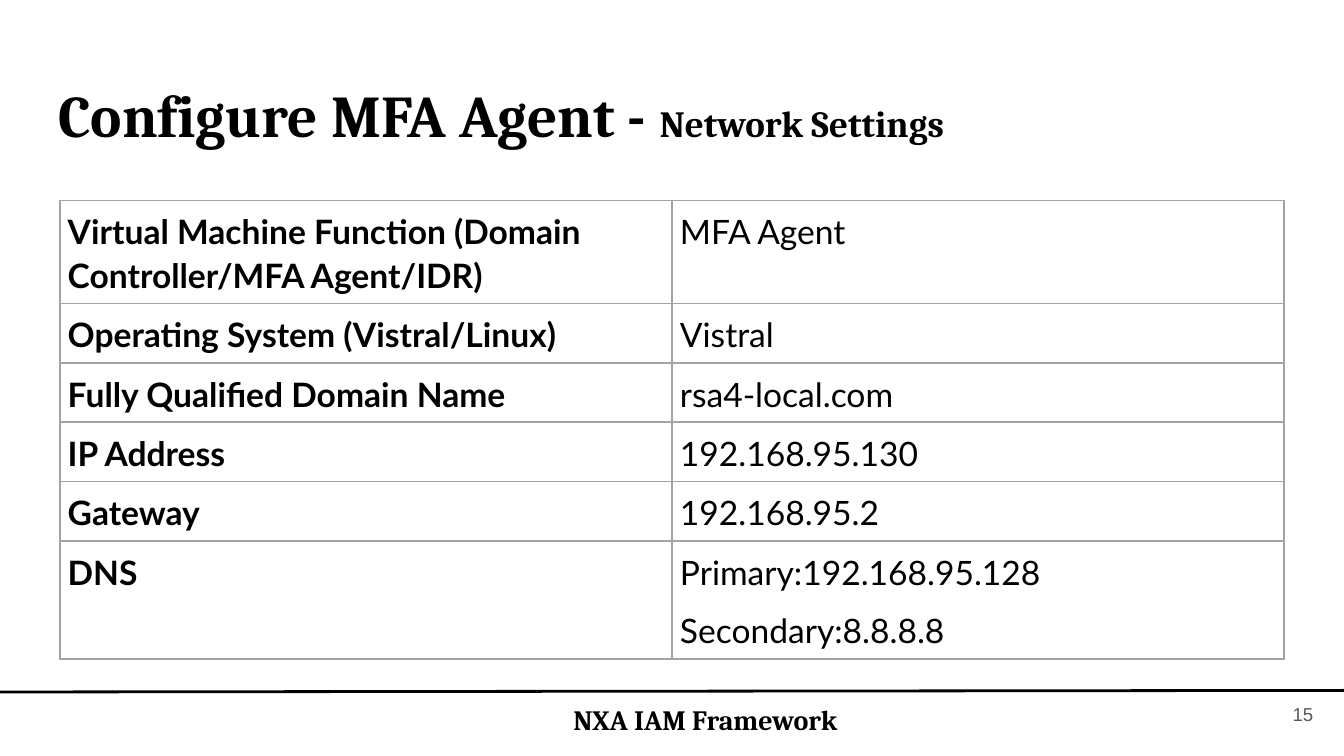
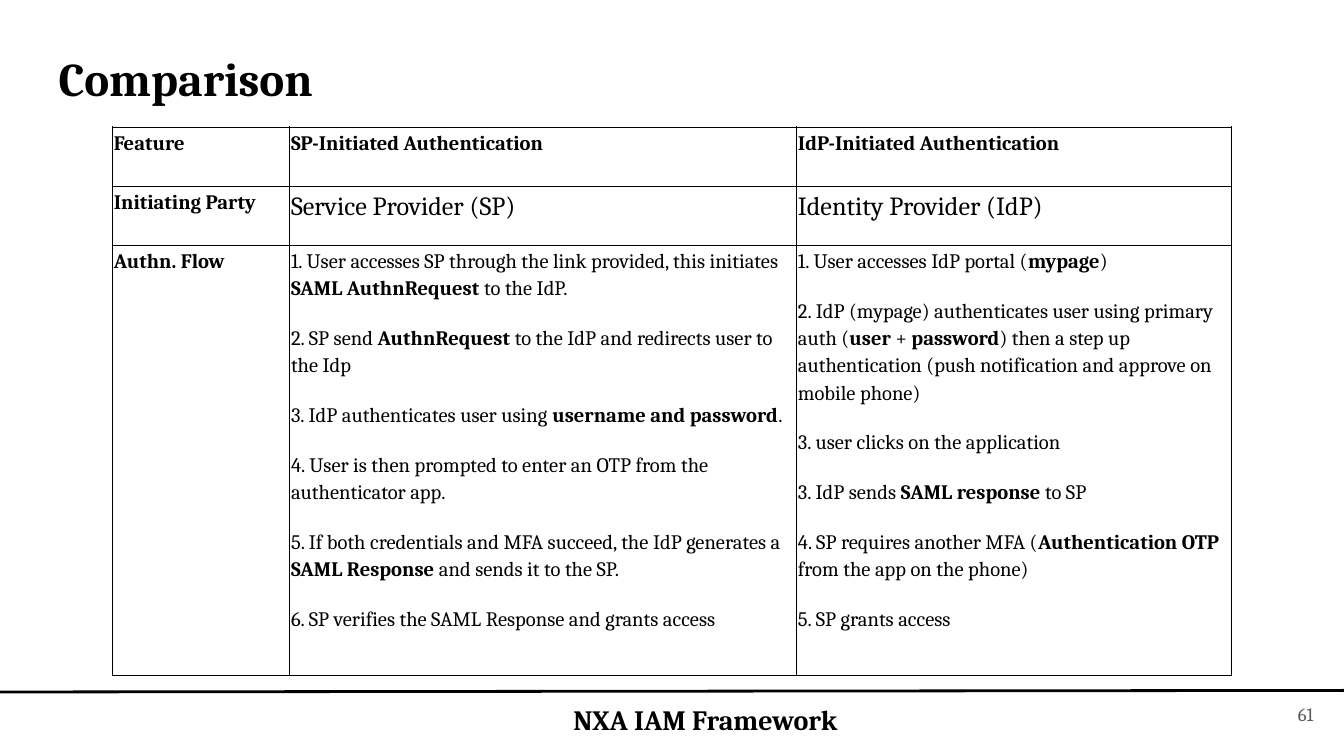
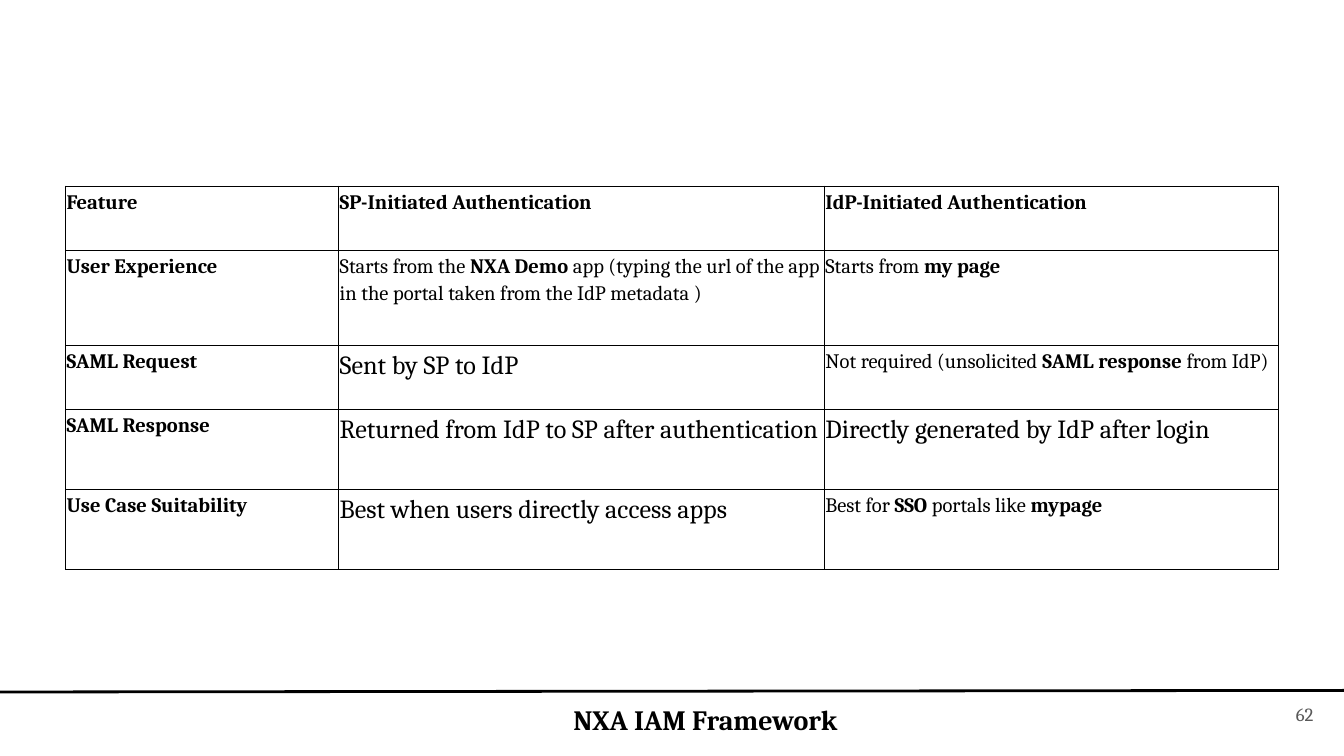
"""Build three slides on network settings and authentication flows."""
from dataclasses import dataclass

from lxml.etree import SubElement
from pptx import Presentation
from pptx.dml.color import RGBColor
from pptx.enum.shapes import MSO_CONNECTOR
from pptx.enum.text import MSO_ANCHOR, MSO_AUTO_SIZE, PP_ALIGN
from pptx.oxml.ns import qn
from pptx.util import Cm, Pt


@dataclass(frozen=True)
class Theme:
    serif: str = "Cambria"
    sans: str = "Lato"
    number_font: str = "Arial"
    ink: str = "000000"
    grey: str = "595959"
    grid: str = "A3A3A3"
    title: float = 31.7
    small_title: float = 25.2
    subtitle: float = 19.8
    settings: float = 18
    footer: float = 15
    plain: float = 14
    mixed: float = 11
    number: float = 10


T = Theme()


def write(p, text, size=T.mixed, font=T.serif, color=T.ink, bold=False):
    """Add runs to a paragraph; text between asterisks is bold."""
    for i, part in enumerate(text.split("*")):
        if part:
            r = p.add_run()
            r.text = part
            r.font.size = Pt(size)
            r.font.name = font
            r.font.bold = bold or i % 2 == 1
            r.font.color.rgb = RGBColor.from_string(color)


def add_grid(s, data, left, top, cols, rows, border, width, inset, spacing, gap,
             size=None, font=T.serif):
    """Add a bordered table; plain cells are larger unless a size is given."""
    table = s.shapes.add_table(len(rows), len(cols), Cm(left), Cm(top),
                               Cm(sum(cols)), Cm(sum(rows))).table
    table.first_row = table.horz_banding = False
    for col, w in zip(table.columns, cols):
        col.width = Cm(w)
    for row, h, texts in zip(table.rows, rows, data):
        row.height = Cm(h)
        for cell, text in zip(row.cells, texts):
            cell.margin_left = cell.margin_right = Cm(inset)
            cell.margin_top = cell.margin_bottom = Cm(inset)
            tf = cell.text_frame
            for i, line in enumerate(text.split("\n")):
                p = tf.add_paragraph() if i else tf.paragraphs[0]
                p.line_spacing = spacing
                if i:
                    p.space_before = Pt(gap)
                write(p, line, size or (T.mixed if "*" in text else T.plain), font)
            p.space_after = Pt(gap)
            tcPr = cell._tc.get_or_add_tcPr()
            for side in ("a:lnL", "a:lnR", "a:lnT", "a:lnB"):
                ln = SubElement(tcPr, qn(side), w=str(Pt(width)))
                fill = SubElement(ln, qn("a:solidFill"))
                SubElement(fill, qn("a:srgbClr"), val=border)
            cell.fill.background()


SETTINGS = [
    ("*Virtual Machine Function (Domain Controller/MFA Agent/IDR)*", "MFA Agent"),
    ("*Operating System (Vistral/Linux)*", "Vistral"),
    ("*Fully Qualified Domain Name*", "rsa4-local.com"),
    ("*IP Address*", "192.168.95.130"),
    ("*Gateway*", "192.168.95.2"),
    ("*DNS*", "Primary:192.168.95.128\nSecondary:8.8.8.8"),
]
HEADER = ("*Feature*", "*SP-Initiated Authentication*", "*IdP-Initiated Authentication*")
FLOWS = [
    HEADER,
    ("*Initiating Party*", "Service Provider (SP)", "Identity Provider (IdP)"),
    ("*Authn. Flow*",
     "1. User accesses SP through the link provided, this initiates *SAML AuthnRequest* to the IdP.\n"
     "2. SP send *AuthnRequest* to the IdP and redirects user to the Idp\n"
     "3. IdP authenticates user using *username and password*.\n"
     "4. User is then prompted to enter an OTP from the authenticator app.\n"
     "5. If both credentials and MFA succeed, the IdP generates a *SAML Response *and sends it to the SP.\n"
     "6. SP verifies the SAML Response and grants access",
     "1. User accesses IdP portal (*mypage*)\n"
     "2. IdP (mypage) authenticates user using primary auth (*user* + *password*) then a step up "
     "authentication (push notification and approve on mobile phone)\n"
     "3. user clicks on the application\n"
     "3. IdP sends *SAML response* to SP\n"
     "4. SP requires another MFA (*Authentication OTP* from the app on the phone)\n"
     "5. SP grants access"),
]
FEATURES = [
    HEADER,
    ("*User Experience*",
     "Starts from the *NXA Demo* app (typing the url of the app in the portal taken from the IdP metadata )",
     "Starts from *my page*"),
    ("*SAML Request*", "Sent by SP to IdP",
     "Not required (unsolicited *SAML response* from IdP)"),
    ("*SAML Response*", "Returned from IdP to SP after authentication",
     "Directly generated by IdP after login"),
    ("*Use Case Suitability*", "Best when users directly access apps",
     "Best for *SSO* portals like *mypage*"),
]
settings_style = dict(border=T.grid, width=1, inset=0.15, spacing=1.08, gap=8,
                      size=T.settings, font=T.sans)
compare_style = dict(border=T.ink, width=0.6, inset=0.02, spacing=1.15, gap=12)

SLIDES = [
    dict(number="15", number_font=T.number_font, title_top=1.24,
         title=[("Configure MFA Agent - ", T.title), ("Network Settings", T.subtitle)],
         grid=dict(data=SETTINGS, left=1.13, top=3.79, cols=[11.57, 11.57],
                   rows=[0.97, 0.76, 0.74, 0.74, 0.74, 1.52], **settings_style)),
    dict(number="61", number_font=T.serif, title_top=0.69,
         title=[("Comparison", T.small_title)],
         grid=dict(data=FLOWS, left=2.13, top=2.4, cols=[3.35, 9.58, 8.22],
                   rows=[1.12, 1.12, 8.13], **compare_style)),
    dict(number="62", number_font=T.serif, title=[],
         grid=dict(data=FEATURES, left=1.24, top=3.52, cols=[5.16, 9.18, 8.58],
                   rows=[1.21, 1.8, 1.21, 1.51, 1.51], **compare_style)),
]

prs = Presentation()
prs.slide_width, prs.slide_height = Cm(25.4), Cm(14.29)

for page in SLIDES:
    s = prs.slides.add_slide(prs.slide_layouts[5 if page["title"] else 6])
    if page["title"]:
        sp = s.shapes.title
        sp.left, sp.top = Cm(0.86), Cm(page["title_top"])
        sp.width, sp.height = Cm(23.67), Cm(1.6)
        tf = sp.text_frame
        tf.auto_size = MSO_AUTO_SIZE.NONE
        tf.vertical_anchor = MSO_ANCHOR.TOP
        tf.margin_left = tf.margin_right = tf.margin_top = tf.margin_bottom = Cm(0.25)
        p = tf.paragraphs[0]
        p.alignment = PP_ALIGN.LEFT
        for text, size in page["title"]:
            write(p, text, size=size, bold=True)

    add_grid(s, **page["grid"])

    sp = s.shapes.add_textbox(Cm(23.55), Cm(12.95), Cm(1.52), Cm(1.09))
    tf = sp.text_frame
    tf.word_wrap = True
    tf.vertical_anchor = MSO_ANCHOR.MIDDLE
    tf.margin_left = tf.margin_right = tf.margin_top = tf.margin_bottom = Cm(0.25)
    p = tf.paragraphs[0]
    p.alignment = PP_ALIGN.RIGHT
    write(p, page["number"], size=T.number, font=page["number_font"], color=T.grey)

    rule = s.shapes.add_connector(MSO_CONNECTOR.STRAIGHT, 0, Cm(13.08), Cm(25.4), Cm(13.05))
    rule.line.color.rgb = RGBColor.from_string(T.ink)
    rule.line.width = Pt(1.5)
    SubElement(rule._element.spPr, qn("a:effectLst"))

    sp = s.shapes.add_textbox(0, Cm(13.3), Cm(25.4), Cm(0.58))
    tf = sp.text_frame
    tf.word_wrap = True
    tf.vertical_anchor = MSO_ANCHOR.MIDDLE
    tf.margin_left, tf.margin_right = Cm(1.52), Cm(0.25)
    tf.margin_top = tf.margin_bottom = 0
    p = tf.paragraphs[0]
    p.alignment = PP_ALIGN.CENTER
    write(p, "NXA IAM Framework", size=T.footer, bold=True)

prs.save("out.pptx")
